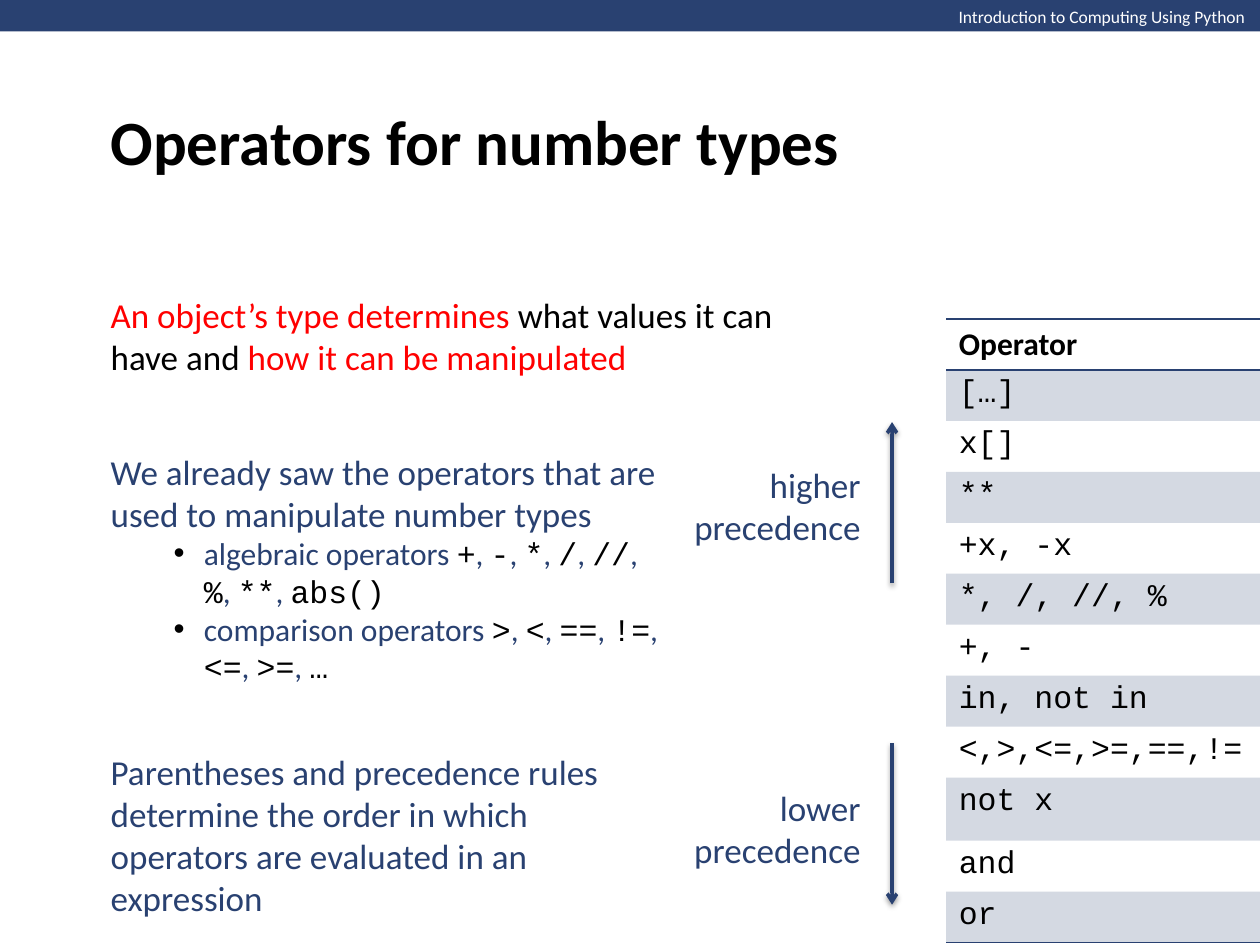
from lxml.etree import SubElement
from pptx import Presentation
from pptx.dml.color import RGBColor
from pptx.enum.shapes import MSO_CONNECTOR, MSO_SHAPE
from pptx.enum.text import MSO_ANCHOR, MSO_AUTO_SIZE, PP_ALIGN
from pptx.oxml import parse_xml
from pptx.oxml.ns import nsdecls, qn
from pptx.util import Inches, Pt

NAVY = RGBColor(0x29, 0x41, 0x71)
RED = RGBColor(0xFF, 0x00, 0x00)
BLACK = RGBColor(0x00, 0x00, 0x00)
WHITE = RGBColor(0xFF, 0xFF, 0xFF)
BODY_FONT = "Calibri"
CODE_FONT = "Courier New"
PLAIN_TABLE_STYLE = "{2D5ABB26-0587-4C30-8999-92F81FD0307C}"

OPERATOR_LISTS = [
    ("algebraic operators ", ["+", "-", "*", "/", "//", "%", "**", "abs()"]),
    ("comparison operators ", [">", "<", "==", "!=", "<=", ">=", "…"]),
]
PRECEDENCE = [
    "[…]", "x[]", "**", "+x, -x", "*, /, //, %", "+, -",
    "in, not in", "<,>,<=,>=,==,!=", "not x", "and", "or",
]


def add_run(paragraph, text, size=20, color=NAVY, font=BODY_FONT, bold=False):
    run = paragraph.add_run()
    run.text = text
    run.font.size = Pt(size)
    run.font.name = font
    run.font.bold = bold
    run.font.color.rgb = color


def add_frame(slide, left, top, width, height, anchor=MSO_ANCHOR.MIDDLE, wrap=True):
    box = slide.shapes.add_textbox(Inches(left), Inches(top), Inches(width), Inches(height))
    frame = box.text_frame
    frame.word_wrap = wrap
    frame.vertical_anchor = anchor
    frame.auto_size = MSO_AUTO_SIZE.SHAPE_TO_FIT_TEXT
    return frame


def add_header(slide, left, top, width, height):
    bar = slide.shapes.add_shape(
        MSO_SHAPE.RECTANGLE, Inches(left), Inches(top), Inches(width), Inches(height))
    bar.shadow.inherit = False
    bar.fill.solid()
    bar.fill.fore_color.rgb = NAVY
    bar.line.fill.background()
    frame = add_frame(slide, left + width - 2.5, top, 2.5, 0.27, MSO_ANCHOR.TOP, False)
    add_run(frame.paragraphs[0], "Introduction to Computing Using Python", size=10, color=WHITE)


def add_title(slide, left, top, width, height):
    frame = add_frame(slide, left, top, width, height, MSO_ANCHOR.BOTTOM)
    frame.auto_size = MSO_AUTO_SIZE.NONE
    frame.margin_bottom = Inches(0.2)
    add_run(frame.paragraphs[0], "Operators for number types", size=36, color=BLACK, bold=True)


def add_statement(slide, left, top, width, height, parts):
    paragraph = add_frame(slide, left, top, width, height).paragraphs[0]
    for text, color in parts:
        add_run(paragraph, text, color=color)


def add_bullet(paragraph):
    paragraph.level = 1
    properties = paragraph._p.get_or_add_pPr()
    properties.set("marL", str(Inches(0.74)))
    properties.set("indent", str(Inches(-0.24)))
    color = SubElement(properties, qn("a:buClr"))
    SubElement(color, qn("a:srgbClr"), val=str(BLACK))
    SubElement(properties, qn("a:buFont"), typeface="Arial")
    SubElement(properties, qn("a:buChar"), char="•")


def add_operator_summary(slide, left, top, width, height):
    frame = add_frame(slide, left, top, width, height)
    add_run(frame.paragraphs[0],
            "We already saw the operators that are used to manipulate number types")
    for label, operators in OPERATOR_LISTS:
        paragraph = frame.add_paragraph()
        add_bullet(paragraph)
        add_run(paragraph, label, size=18)
        for index, operator in enumerate(operators):
            if index:
                add_run(paragraph, ", ", size=18)
            add_run(paragraph, operator, size=18, color=BLACK, font=CODE_FONT)


def add_precedence_label(slide, left, top, width, height, word):
    frame = add_frame(slide, left, top, width, height, wrap=False)
    for paragraph, text in ((frame.paragraphs[0], word), (frame.add_paragraph(), "precedence")):
        paragraph.alignment = PP_ALIGN.RIGHT
        add_run(paragraph, text)


def add_arrow(slide, x, start, end):
    arrow = slide.shapes.add_connector(
        MSO_CONNECTOR.STRAIGHT, Inches(x), Inches(start), Inches(x), Inches(end))
    arrow.line.color.rgb = NAVY
    arrow.line.width = Pt(2)
    SubElement(arrow.line._get_or_add_ln(), qn("a:tailEnd"), type="arrow")
    arrow._element.spPr.append(parse_xml(
        f'<a:effectLst {nsdecls("a")}><a:outerShdw blurRad="{Pt(3.1)}" dist="{Pt(1.6)}" '
        'dir="5400000" rotWithShape="0"><a:srgbClr val="000000"><a:alpha val="38000"/>'
        '</a:srgbClr></a:outerShdw></a:effectLst>'))


def add_border(cell, side):
    border = parse_xml(
        f'<a:{side} {nsdecls("a")} w="{Pt(1)}"><a:solidFill><a:srgbClr val="{NAVY}"/>'
        f'</a:solidFill></a:{side}>')
    properties = cell._tc.get_or_add_tcPr()
    position = len(properties.findall(qn("a:lnT")))
    properties.insert(position, border)


def fill_cell(cell, shaded):
    if not shaded:
        cell.fill.background()
        return
    cell.fill.solid()
    cell.fill.fore_color.rgb = NAVY
    color = cell._tc.tcPr.find(qn("a:solidFill")).find(qn("a:srgbClr"))
    SubElement(color, qn("a:alpha"), val="20000")


def add_operator_table(slide, left, top, width, height):
    rows = ["Operator"] + PRECEDENCE
    table = slide.shapes.add_table(
        len(rows), 1, Inches(left), Inches(top), Inches(width), Inches(height)).table
    table.first_row = False
    table.horz_banding = False
    table._tbl.tblPr.find(qn("a:tableStyleId")).text = PLAIN_TABLE_STYLE
    for index, text in enumerate(rows):
        table.rows[index].height = Inches(0.5 if text == "not x" else 0.405)
        cell = table.cell(index, 0)
        is_header = index == 0
        add_run(cell.text_frame.paragraphs[0], text, size=18, color=BLACK,
                font=BODY_FONT if is_header else CODE_FONT, bold=is_header)
        fill_cell(cell, index % 2 == 1)
    add_border(table.cell(0, 0), "lnT")
    add_border(table.cell(0, 0), "lnB")
    add_border(table.cell(len(rows) - 1, 0), "lnB")


def main():
    presentation = Presentation()
    presentation.slide_width = Inches(10)
    presentation.slide_height = Inches(7.5)
    slide = presentation.slides.add_slide(presentation.slide_layouts[6])
    add_header(slide, 0, 0, 10.01, 0.25)
    add_title(slide, 0.78, 0, 8.5, 1.61)
    add_operator_summary(slide, 0.78, 3.51, 4.56, 1.99)
    add_statement(slide, 0.78, 2.28, 5.93, 0.77, [
        ("An object’s type determines ", RED),
        ("what values it can have and ", BLACK),
        ("how it can be manipulated", RED),
    ])
    add_operator_table(slide, 7.51, 2.53, 2.5, 4.96)
    add_arrow(slide, 7.08, 4.63, 3.35)
    add_precedence_label(slide, 5.39, 3.63, 1.54, 0.77, "higher")
    add_arrow(slide, 7.08, 5.9, 7.18)
    add_precedence_label(slide, 5.33, 6.19, 1.6, 0.77, "lower")
    add_statement(slide, 0.78, 5.9, 4.56, 1.45, [
        ("Parentheses and precedence rules determine the order in which "
         "operators are evaluated in an expression", NAVY),
    ])
    presentation.save("out.pptx")


if __name__ == "__main__":
    main()
